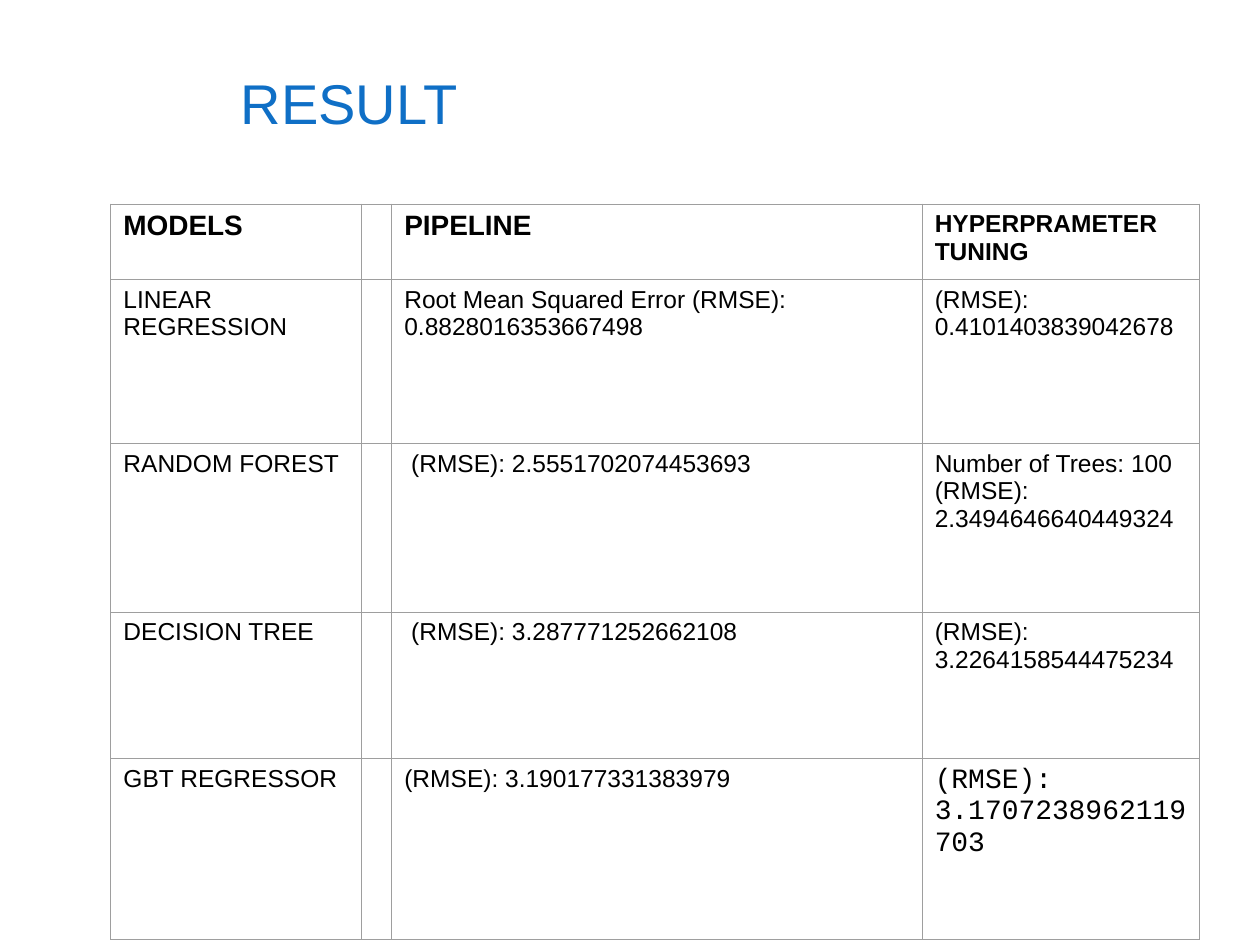
from dataclasses import dataclass
from lxml.etree import SubElement
from pptx import Presentation
from pptx.dml.color import RGBColor
from pptx.enum.text import MSO_ANCHOR, MSO_AUTO_SIZE, PP_ALIGN
from pptx.oxml.ns import qn
from pptx.util import Inches, Pt


@dataclass(frozen=True)
class Theme:
    font: str = "Arial"
    mono: str = "Courier New"
    blue: str = "0F6FC6"
    ink: str = "000000"
    paper: str = "FFFFFF"
    rule: str = "9E9E9E"
    title: int = 32
    head: int = 16
    body: int = 14
    line: float = 0.75


LOOK = Theme()
WIDE, HIGH = 10, 7.5
COLS = [1.99, 0.23, 4.21, 2.2]
ROWS = [0.6, 1.3, 1.34, 1.16, 1.44]
CELLS = [
    ["MODELS", "", "PIPELINE", "HYPERPRAMETER\nTUNING"],
    ["LINEAR REGRESSION", "", "Root Mean Squared Error (RMSE): 0.8828016353667498", "(RMSE): 0.4101403839042678"],
    ["RANDOM FOREST", "", " (RMSE): 2.5551702074453693", "Number of Trees: 100\n(RMSE): 2.3494646640449324"],
    ["DECISION TREE", "", " (RMSE): 3.287771252662108", "(RMSE): 3.2264158544475234"],
    ["GBT REGRESSOR", "", "(RMSE): 3.190177331383979", "(RMSE): 3.1707238962119703"],
]
HEAD = {"size": LOOK.head, "bold": True}
FORMAT = {
    (0, 0): HEAD,
    (0, 2): HEAD,
    (0, 3): {"bold": True},
    (4, 3): {"size": LOOK.head, "font": LOOK.mono},
}


def write(frame, text, size=LOOK.body, font=LOOK.font, color=LOOK.ink, bold=False):
    frame.text = text
    for para in frame.paragraphs:
        para.alignment = PP_ALIGN.LEFT
        face = para.font
        face.size, face.name, face.bold = Pt(size), font, bold
        face.color.rgb = RGBColor.from_string(color)


def edge(cell):
    props = cell._tc.get_or_add_tcPr()
    for spot, side in enumerate(("lnL", "lnR", "lnT", "lnB")):
        line = props.makeelement(qn(f"a:{side}"), {"w": str(Pt(LOOK.line))})
        fill = SubElement(line, qn("a:solidFill"))
        SubElement(fill, qn("a:srgbClr"), val=LOOK.rule)
        props.insert(spot, line)


def add_title(slide, text):
    shape = slide.shapes.title
    shape.left, shape.top = Inches(WIDE * 0.191), Inches(HIGH * 0.044)
    shape.width, shape.height = Inches(WIDE * 0.759), Inches(HIGH * 0.1)
    frame = shape.text_frame
    frame.margin_left = frame.margin_right = frame.margin_bottom = 0
    frame.margin_top = Inches(0.05)
    frame.vertical_anchor = MSO_ANCHOR.BOTTOM
    frame.auto_size = MSO_AUTO_SIZE.NONE
    write(frame, text, size=LOOK.title, color=LOOK.blue)


def add_grid(slide):
    table = slide.shapes.add_table(
        len(ROWS), len(COLS), Inches(WIDE * 0.088), Inches(HIGH * 0.216),
        Inches(sum(COLS)), Inches(sum(ROWS))).table
    table.first_row = table.horz_banding = False
    for col, width in zip(table.columns, COLS):
        col.width = Inches(width)
    for row, height in zip(table.rows, ROWS):
        row.height = Inches(height)
    for r, texts in enumerate(CELLS):
        for c, text in enumerate(texts):
            cell = table.cell(r, c)
            write(cell.text_frame, text, **FORMAT.get((r, c), {}))
            cell.fill.solid()
            cell.fill.fore_color.rgb = RGBColor.from_string(LOOK.paper)
            edge(cell)


def main():
    deck = Presentation()
    deck.slide_width, deck.slide_height = Inches(WIDE), Inches(HIGH)
    slide = deck.slides.add_slide(deck.slide_layouts[5])
    add_title(slide, "RESULT")
    add_grid(slide)
    deck.save("out.pptx")


if __name__ == "__main__":
    main()
